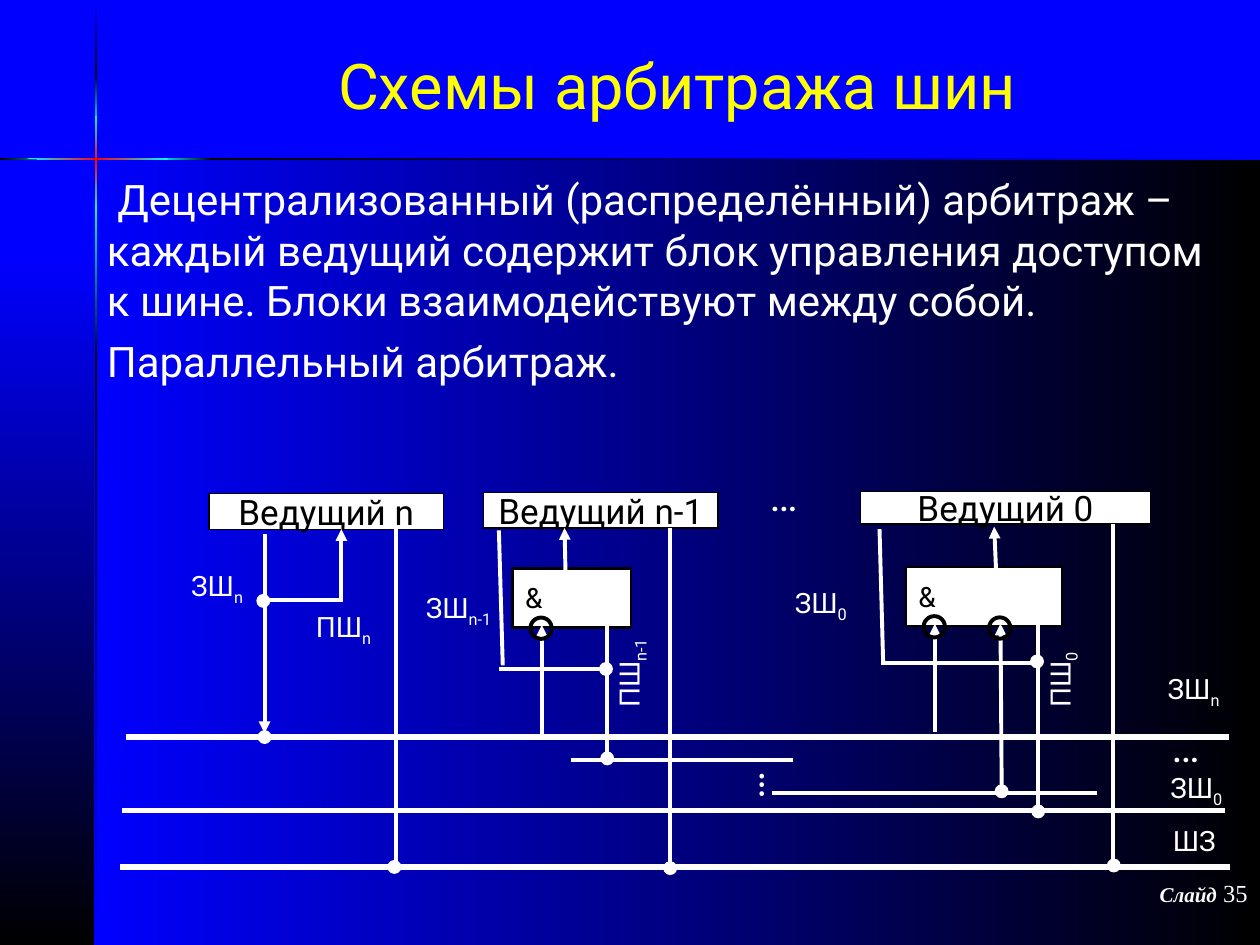
from copy import deepcopy
from dataclasses import dataclass

from lxml.etree import SubElement
from pptx import Presentation
from pptx.dml.color import RGBColor
from pptx.enum.shapes import MSO_CONNECTOR, MSO_SHAPE
from pptx.enum.text import MSO_ANCHOR, MSO_AUTO_SIZE, PP_ALIGN
from pptx.oxml.ns import qn
from pptx.util import Pt


@dataclass(frozen=True)
class Theme:
    blue: str = "0000FF"
    black: str = "000000"
    white: str = "FFFFFF"
    cyan: str = "00FFFF"
    red: str = "FF0000"
    yellow: str = "FFFF00"
    font: str = "Roboto"
    serif: str = "Times New Roman"
    head: int = 36
    body: int = 24
    name: int = 20
    label: int = 16
    page: int = 14
    foot: int = 12
    bus: float = 3
    wire: float = 2.25
    gate: float = 1.5
    thin: float = 0.75


T = Theme()
TITLE = "Схемы арбитража шин"
BODY = [
    " Децентрализованный (распределённый) арбитраж – каждый ведущий содержит "
    "блок управления доступом к шине. Блоки взаимодействуют между собой.",
    "Параллельный арбитраж.",
]

# left, top, width, height, colours, angle (270 runs downwards)
GLOW = (T.cyan, T.red, T.cyan)
PANELS = [
    (54, 90, 666, 450, (T.blue, T.black), 0),
    (0, 145.4, 54, 394.6, (T.blue, T.black), 270),
    (54, 0.7, 1.5, 41.8, (T.blue, T.black), 270),
    (54, 203, 1.5, 337, (T.black, T.blue), 270),
    (54, 117.4, 1.5, 87.8, (T.cyan, T.black), 270),
    (54, 41.8, 1.5, 31.7, (T.black, T.cyan), 270),
    (54, 66.2, 1.5, 52.6, GLOW, 270),
    (0, 90, 43.9, 1.5, (T.black, T.cyan), 0),
    (120.2, 90, 599.8, 1.5, (T.black, T.blue), 0),
    (90, 90, 31.7, 1.5, (T.cyan, T.black), 0),
]
TAPER = [(15.1, 90.7), (43.2, 91.5), (95.8, 91.5), (95.8, 90), (43.2, 90)]

# left, top, width, height, text
MASTERS = [
    (119.5, 282.2, 133.9, 20.2, "Ведущий n"),
    (276.5, 281.5, 133.9, 20.2, "Ведущий n-1"),
    (491.8, 280.8, 165.6, 18.7, "Ведущий 0"),
]
GATES = [(293, 324.7, 67.7, 33.8, "&"), (517.7, 324, 89.3, 33.8, "&")]

# x and y of the start, x and y of the end
BUSES = [
    (702.7, 495.4, 68.4, 495.4),
    (702, 421.2, 72, 421.2),
    (699.8, 463, 69.8, 463),
]
WIRES = [
    (226.1, 499, 226.1, 302.4), (151.2, 342.7, 195.8, 342.7),
    (285.1, 303.1, 287.3, 380.2), (383, 498.2, 383, 301.7),
    (285.1, 382.3, 345.6, 382.3), (347, 354.2, 347, 433.4),
    (326.2, 434.2, 452.9, 434.2), (502.6, 302.4, 504.7, 379.4),
    (503.3, 378.7, 592.6, 378.7), (593.3, 353.5, 593.3, 465.1),
    (441.4, 452.9, 627.1, 452.9), (635.8, 496.1, 635.8, 299.5),
]
ARROWS = [
    (151.2, 305.3, 151.2, 419), (195.1, 344.2, 195.1, 302.4),
    (309.6, 419.8, 309.6, 357.1), (323.3, 333.4, 322.6, 301.7),
    (534.2, 418.3, 534.2, 356.4), (569.5, 332.6, 568.1, 301),
    (572.4, 451.4, 571.7, 356.4),
]

# centres
DOTS = [
    (150.5, 343.4), (225.4, 495.4), (383, 496.1), (347, 433.4),
    (572.4, 452.2), (151.2, 421.2), (346.3, 382.3), (592.6, 378),
    (593.3, 463.7), (636.5, 494.6),
]
RINGS = [(309.2, 359), (533.9, 358.2), (571.3, 358.9)]

# left, top, width, text, subscript, rotation
LABELS = [
    (173.5, 344.9, 48.2, "ПШ", "n", 0),
    (102.2, 321.1, 46.1, "ЗШ", "n", 0),
    (332.6, 368.6, 56.2, "ПШ", "n-1", 270),
    (236.2, 334.1, 54, "ЗШ", "n-1", 0),
    (583.2, 373, 47.5, "ПШ", "0", 270),
    (447.1, 331.2, 45.4, "ЗШ", "0", 0),
    (660.2, 380.2, 46.1, "ЗШ", "n", 0),
    (661.7, 437, 45.4, "ЗШ", "0", 0),
    (663.1, 467.3, 40.3, "ШЗ", "", 0),
]
GAPS = [(410.4, 429.1, 270), (432.7, 265, 0), (662.4, 408.2, 0)]


def rgb(code):
    return RGBColor.from_string(code)


def place(box):
    return [Pt(v) for v in box]


def write(para, text, size, color, font=T.font):
    run = para.add_run()
    run.text = text
    run.font.size = Pt(size)
    run.font.name = font
    run.font.color.rgb = rgb(color)
    return run


def shade(shape, colors, angle):
    """Fill a shape with evenly spaced gradient colours and no outline."""
    shape.shadow.inherit = False
    shape.line.fill.background()
    fill = shape.fill
    fill.gradient()
    fill.gradient_angle = angle
    stops = shape._element.spPr.find(".//" + qn("a:gsLst"))
    while len(stops) < len(colors):
        stops.append(deepcopy(stops[0]))
    for i, (stop, color) in enumerate(zip(fill.gradient_stops, colors)):
        stop.position = i / (len(colors) - 1)
        stop.color.rgb = rgb(color)


def draw(kind, box, fill, edge, width):
    shape = slide.shapes.add_shape(kind, *place(box))
    shape.shadow.inherit = False
    if fill:
        shape.fill.solid()
        shape.fill.fore_color.rgb = rgb(fill)
    else:
        shape.fill.background()
    shape.line.color.rgb = rgb(edge)
    shape.line.width = Pt(width)
    return shape


def block(box, text, size, width, align):
    shape = draw(MSO_SHAPE.RECTANGLE, box, T.white, T.black, width)
    frame = shape.text_frame
    frame.word_wrap = False
    frame.vertical_anchor = MSO_ANCHOR.MIDDLE
    para = frame.paragraphs[0]
    para.alignment = align
    write(para, text, size, T.black)


def disc(spot, size, fill, edge, width):
    box = (spot[0] - size / 2, spot[1] - size / 2, size, size)
    draw(MSO_SHAPE.OVAL, box, fill, edge, width)


def link(ends, width, arrow=False):
    line = slide.shapes.add_connector(MSO_CONNECTOR.STRAIGHT, *place(ends))
    line.line.color.rgb = rgb(T.white)
    line.line.width = Pt(width)
    if arrow:
        SubElement(line.line._get_or_add_ln(), qn("a:tailEnd"), type="triangle")
    SubElement(line._element.spPr, qn("a:effectLst"))


def label(box, text, size, sub="", turn=0):
    shape = slide.shapes.add_textbox(*place(box))
    shape.rotation = turn
    frame = shape.text_frame
    frame.word_wrap = False
    frame.auto_size = MSO_AUTO_SIZE.SHAPE_TO_FIT_TEXT
    para = frame.paragraphs[0]
    write(para, text, size, T.white)
    if sub:
        run = write(para, sub, size, T.white)
        run._r.get_or_add_rPr().set("baseline", "-25000")


deck = Presentation()
deck.slide_width, deck.slide_height = Pt(720), Pt(540)
slide = deck.slides.add_slide(deck.slide_layouts[5])
slide.background.fill.solid()
slide.background.fill.fore_color.rgb = rgb(T.blue)

for *box, colors, angle in PANELS:
    shade(slide.shapes.add_shape(MSO_SHAPE.RECTANGLE, *place(box)), colors, angle)
path = slide.shapes.build_freeform(*place(TAPER[0]), scale=1.0)
path.add_line_segments([place(spot) for spot in TAPER[1:]], close=True)
shade(path.convert_to_shape(), GLOW, 0)

title = slide.shapes.title
title.left, title.top, title.width, title.height = place((54, 5.8, 666, 84.2))
title.text_frame.vertical_anchor = MSO_ANCHOR.MIDDLE
title.text_frame.paragraphs[0].alignment = PP_ALIGN.CENTER
write(title.text_frame.paragraphs[0], TITLE, T.head, T.yellow)

body = slide.shapes.add_textbox(*place((54, 95.8, 648.7, 408.2))).text_frame
body.word_wrap = True
for i, text in enumerate(BODY):
    para = body.add_paragraph() if i else body.paragraphs[0]
    para.space_before = Pt(6)
    write(para, text, T.body, T.white)

foot = slide.shapes.add_textbox(*place((570.2, 498.2, 149.8, 36))).text_frame
foot.word_wrap = True
foot.paragraphs[0].alignment = PP_ALIGN.RIGHT
word = write(foot.paragraphs[0], "Слайд", T.foot, T.white, T.serif)
word.font.bold = word.font.italic = True
write(foot.paragraphs[0], " 35", T.page, T.white, T.serif)

for *box, text in MASTERS:
    block(box, text, T.name, T.thin, PP_ALIGN.CENTER)
for *box, text in GATES:
    block(box, text, T.label, T.gate, PP_ALIGN.LEFT)
for ends in BUSES:
    link(ends, T.bus)
for ends in WIRES:
    link(ends, T.wire)
for ends in ARROWS:
    link(ends, T.wire, arrow=True)
for spot in DOTS:
    disc(spot, 7.2, T.white, T.white, T.thin)
for spot in RINGS:
    disc(spot, 12.2, None, T.black, T.wire)
for x, y, w, text, sub, turn in LABELS:
    label((x, y, w, 29.5 if sub else 26.6), text, T.label, sub, turn)
for x, y, turn in GAPS:
    label((x, y, 33.1, 36), "…", T.body, turn=turn)

deck.save("out.pptx")
